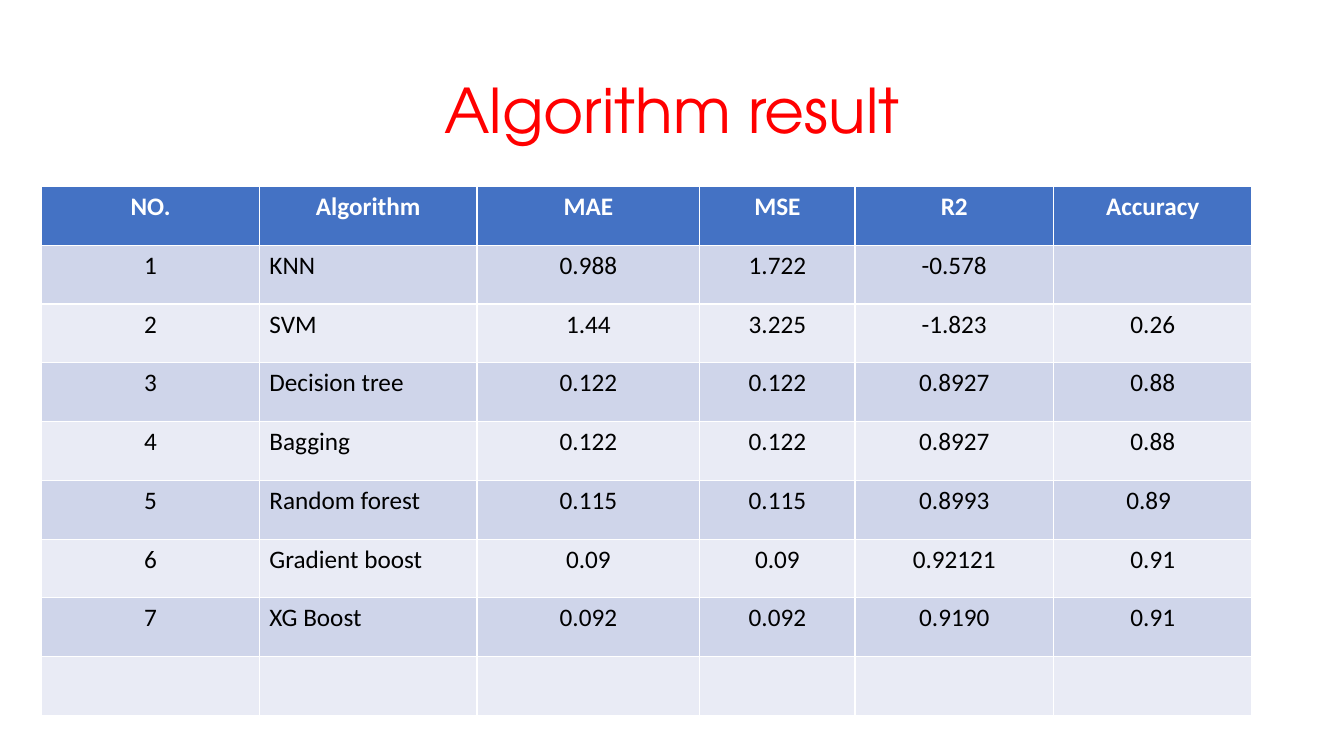
from pptx import Presentation
from pptx.dml.color import RGBColor
from pptx.enum.text import MSO_VERTICAL_ANCHOR as Anchor, PP_PARAGRAPH_ALIGNMENT as Align
from pptx.util import Pt

RED, BLACK, WHITE = "FF0000", "000000", "FFFFFF"
HEADER_FILL, BAND_FILLS = "4472C4", ("CFD5EA", "E9EBF5")
COLUMN_WIDTHS = (155.5, 155.5, 159.1, 110.9, 141.8, 141.8)
ROW_HEIGHT = 42
HEADINGS = ("NO.", "Algorithm", "MAE", "MSE", "R2", "Accuracy")
RESULTS = (
    ("1", "KNN", "0.988", "1.722", "-0.578", ""),
    ("2", "SVM", "1.44", "3.225", "-1.823", "0.26"),
    ("3", "Decision tree", "0.122", "0.122", "0.8927", "0.88"),
    ("4", "Bagging", "0.122", "0.122", "0.8927", "0.88"),
    ("5", "Random forest", "0.115", "0.115", "0.8993", "0.89"),
    ("6", "Gradient boost", "0.09", "0.09", "0.92121", "0.91"),
    ("7", "XG Boost", "0.092", "0.092", "0.9190", "0.91"),
    ("",) * len(HEADINGS),
)
ALGORITHM, ACCURACY = HEADINGS.index("Algorithm"), HEADINGS.index("Accuracy")
RANDOM_FOREST = 5
TITLE_FONT = {"name": "TeX Gyre Adventor", "size": Pt(44), "bold": False}
HEADING_FONT = {"name": "Calibri", "size": Pt(18), "bold": True}
RESULT_FONT = HEADING_FONT | {"bold": False}


def color(hex_code):
    """Turn a hex string into a colour."""
    return RGBColor.from_string(hex_code)


def apply(target, values):
    """Set every attribute named in values."""
    for key, value in values.items():
        setattr(target, key, value)


def write(paragraph, wording, font, ink, align):
    """Write one formatted run in a paragraph."""
    paragraph.alignment = align
    run = paragraph.add_run()
    run.text = wording
    apply(run.font, font)
    run.font.color.rgb = color(ink)


def place_title(slide, left, top, width, height):
    """Fill the title placeholder and fit it to the box."""
    title = slide.shapes.title
    apply(title, {"left": Pt(left), "top": Pt(top), "width": Pt(width), "height": Pt(height)})
    apply(title.text_frame, {"word_wrap": True, "vertical_anchor": Anchor.MIDDLE})
    heading = title.text_frame.paragraphs[0]
    heading.line_spacing = 0.9
    write(heading, "Algorithm result", TITLE_FONT, RED, Align.CENTER)


def place_results(slide, left, top):
    """Draw the banded table of results from its top left corner."""
    rows = (HEADINGS, *RESULTS)
    results = slide.shapes.add_table(
        len(rows), len(HEADINGS), Pt(left), Pt(top),
        Pt(sum(COLUMN_WIDTHS)), Pt(ROW_HEIGHT * len(rows))).table
    for column, width in zip(results.columns, COLUMN_WIDTHS):
        column.width = Pt(width)
    for i, row in enumerate(rows):
        results.rows[i].height = Pt(ROW_HEIGHT)
        for j, wording in enumerate(row):
            cell = results.cell(i, j)
            cell.fill.solid()
            cell.fill.fore_color.rgb = color(BAND_FILLS[(i - 1) % 2] if i else HEADER_FILL)
            indented = (i, j) == (RANDOM_FOREST, ACCURACY)
            if indented:
                cell.margin_left = Pt(52)
            if wording:
                align = Align.LEFT if indented or (i and j == ALGORITHM) else Align.CENTER
                font, ink = (RESULT_FONT, BLACK) if i else (HEADING_FONT, WHITE)
                write(cell.text_frame.paragraphs[0], wording, font, ink, align)


def main():
    """Build the slide and save it."""
    deck = Presentation()
    apply(deck, {"slide_width": Pt(960), "slide_height": Pt(540)})
    slide = deck.slides.add_slide(deck.slide_layouts[5])
    place_title(slide, 66, 28.8, 828, 104.4)
    place_results(slide, 29.8, 133.2)
    deck.save("out.pptx")


if __name__ == "__main__":
    main()
